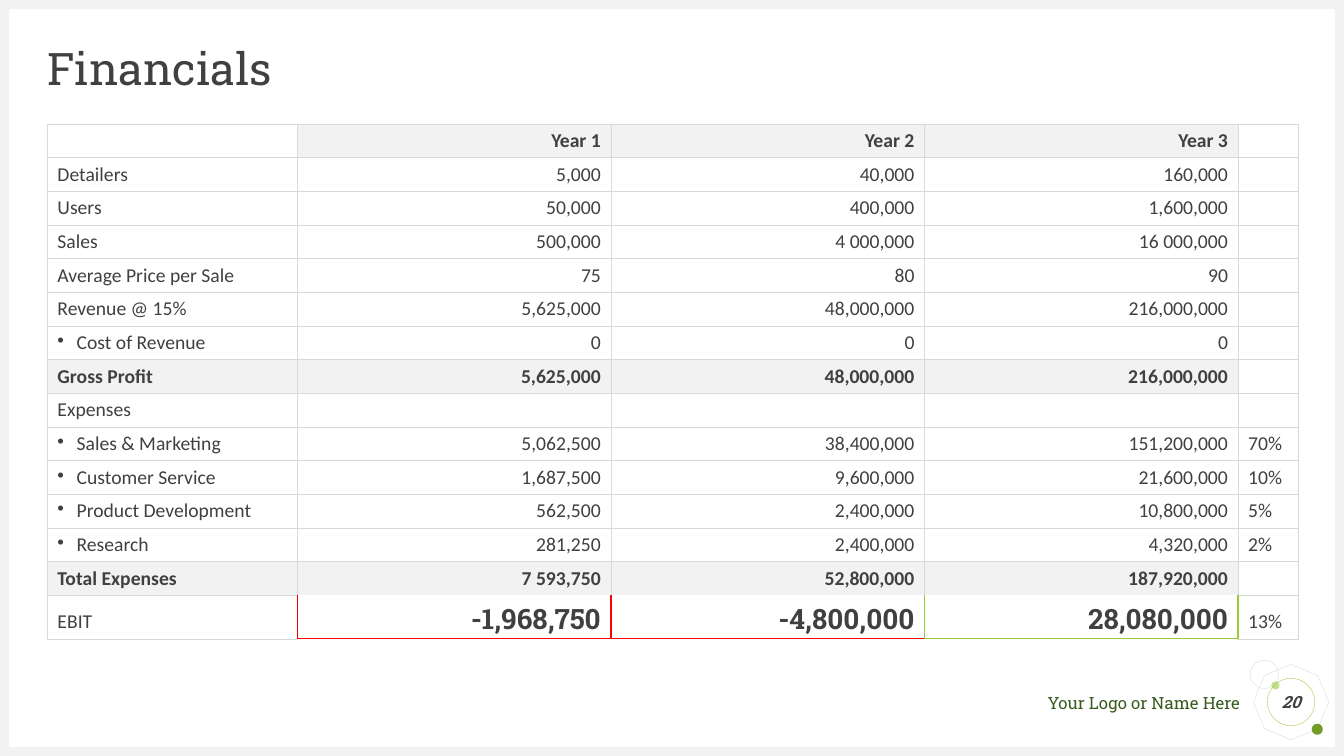
from dataclasses import dataclass

import pptx
import pptx.dml.color
import pptx.enum.shapes
import pptx.enum.text
import pptx.oxml
import pptx.oxml.ns
import pptx.util

Inches = pptx.util.Inches
Pt = pptx.util.Pt
Shape = pptx.enum.shapes.MSO_SHAPE
Align = pptx.enum.text.PP_ALIGN
Anchor = pptx.enum.text.MSO_ANCHOR

WIDTH, HEIGHT = 13.33, 7.5
BAR = 0.09
COLUMN_WIDTHS = [2.48, 3.11, 3.11, 3.11, 0.6]
ROW_HEIGHT, EBIT_HEIGHT = 0.33, 0.42
SHADED = {"Gross Profit", "Total Expenses"}
DETAILS = {"Cost of Revenue", "Sales & Marketing", "Customer Service",
           "Product Development", "Research"}
FINANCIALS = [
    ["", "Year 1", "Year 2", "Year 3", ""],
    ["Detailers", "5,000", "40,000", "160,000", ""],
    ["Users", "50,000", "400,000", "1,600,000", ""],
    ["Sales", "500,000", "4 000,000", "16 000,000", ""],
    ["Average Price per Sale", "75", "80", "90", ""],
    ["Revenue @ 15%", "5,625,000", "48,000,000", "216,000,000", ""],
    ["Cost of Revenue", "0", "0", "0", ""],
    ["Gross Profit", "5,625,000", "48,000,000", "216,000,000", ""],
    ["Expenses", "", "", "", ""],
    ["Sales & Marketing", "5,062,500", "38,400,000", "151,200,000", "70%"],
    ["Customer Service", "1,687,500", "9,600,000", "21,600,000", "10%"],
    ["Product Development", "562,500", "2,400,000", "10,800,000", "5%"],
    ["Research", "281,250", "2,400,000", "4,320,000", "2%"],
    ["Total Expenses", "7 593,750", "52,800,000", "187,920,000", ""],
    ["EBIT", "-1,968,750", "-4,800,000", "28,080,000", "13%"],
]


@dataclass(frozen=True)
class Theme:
    heading: str = "Roboto Slab"
    body: str = "Calibri"
    text: str = "404040"
    brand: str = "375C1E"
    paper: str = "FFFFFF"
    shade: str = "F2F2F2"
    grid: str = "D9D9D9"
    loss: str = "FF0000"
    gain: str = "9ACB39"
    light_dot: str = "C2E088"
    dark_dot: str = "749A29"
    title_size: int = 32
    result_size: int = 20
    cell_size: int = 14
    footer_size: int = 12
    hairline: float = 0.25
    accent_line: float = 1


def rgb(value):
    return pptx.dml.color.RGBColor.from_string(value)


class SlideBuilder:
    def __init__(self, slide, theme):
        self.slide = slide
        self.theme = theme

    def font(self, paragraph, size, face, color=None, bold=False, italic=False):
        font = paragraph.font
        font.size, font.name = Pt(size), face
        font.color.rgb = rgb(color or self.theme.text)
        font.bold, font.italic = bold, italic

    def frame(self, shape, text, align, anchor):
        """Fill a shape's text frame without margins and return its paragraph."""
        frame = shape.text_frame
        frame.text = text
        frame.word_wrap = True
        frame.vertical_anchor = anchor
        frame.margin_left = frame.margin_right = 0
        frame.margin_top = frame.margin_bottom = 0
        frame.paragraphs[0].alignment = align
        return frame.paragraphs[0]

    def title(self, text, left, top, width, height):
        title = self.slide.shapes.title
        title.left, title.top = Inches(left), Inches(top)
        title.width, title.height = Inches(width), Inches(height)
        paragraph = self.frame(title, text, Align.LEFT, Anchor.MIDDLE)
        paragraph.line_spacing = 0.9
        self.font(paragraph, self.theme.title_size, self.theme.heading)

    def shape(self, kind, left, top, width, height, fill=None, line=None):
        shape = self.slide.shapes.add_shape(
            kind, Inches(left), Inches(top), Inches(width), Inches(height))
        shape.shadow.inherit = False
        if fill:
            shape.fill.solid()
            shape.fill.fore_color.rgb = rgb(fill)
        else:
            shape.fill.background()
        if line:
            shape.line.color.rgb = rgb(line)
            shape.line.width = Pt(self.theme.hairline)
        else:
            shape.line.fill.background()
        return shape

    def footer(self, text, left, top, width, height):
        box = self.slide.shapes.add_textbox(
            Inches(left), Inches(top), Inches(width), Inches(height))
        paragraph = self.frame(box, text, Align.RIGHT, Anchor.TOP)
        self.font(paragraph, self.theme.footer_size, self.theme.heading, self.theme.brand)

    def page_badge(self, number, left, top, size):
        badge = self.shape(Shape.OVAL, left, top, size, size, line=self.theme.gain)
        paragraph = self.frame(badge, number, Align.CENTER, Anchor.MIDDLE)
        self.font(paragraph, self.theme.footer_size, self.theme.heading,
                  bold=True, italic=True)

    def bullet(self, paragraph):
        properties = paragraph._p.get_or_add_pPr()
        properties.set("marL", str(Inches(0.19)))
        properties.set("indent", str(-Inches(0.19)))
        properties.append(pptx.oxml.parse_xml(
            f'<a:buChar {pptx.oxml.ns.nsdecls("a")} char="•"/>'))

    def borders(self, cell, sides):
        """Draw the L, R, T and B edges; a colour of None leaves an edge open."""
        properties = cell._tc.get_or_add_tcPr()
        for position, side in enumerate("LRTB"):
            color = sides[side]
            plain = color in (None, self.theme.grid)
            width = Pt(self.theme.hairline if plain else self.theme.accent_line)
            paint = (f'<a:solidFill><a:srgbClr val="{color}"/></a:solidFill>'
                     if color else "<a:noFill/>")
            properties.insert(position, pptx.oxml.parse_xml(
                f'<a:ln{side} {pptx.oxml.ns.nsdecls("a")} w="{width}">{paint}</a:ln{side}>'))

    def cell(self, cell, text, shaded, bold, right, result):
        theme = self.theme
        cell.fill.solid()
        cell.fill.fore_color.rgb = rgb(theme.shade if shaded else theme.paper)
        cell.vertical_anchor = Anchor.BOTTOM
        cell.text = text
        paragraph = cell.text_frame.paragraphs[0]
        paragraph.alignment = Align.RIGHT if right else Align.LEFT
        if text in DETAILS:
            self.bullet(paragraph)
        if result:
            self.font(paragraph, theme.result_size, theme.heading, bold=True)
        else:
            self.font(paragraph, theme.cell_size, theme.body, bold=bold)

    def financial_table(self, rows, left, top):
        theme = self.theme
        last = len(rows) - 1
        heights = [ROW_HEIGHT] * last + [EBIT_HEIGHT]
        table = self.slide.shapes.add_table(
            len(rows), len(COLUMN_WIDTHS), Inches(left), Inches(top),
            Inches(sum(COLUMN_WIDTHS)), Inches(sum(heights))).table
        table.first_row = table.horz_banding = False
        for column, width in zip(table.columns, COLUMN_WIDTHS):
            column.width = Inches(width)
        result_edges = {1: theme.loss, 2: theme.loss, 3: theme.gain, 4: theme.gain}
        for r, values in enumerate(rows):
            table.rows[r].height = Inches(heights[r])
            strong = r == 0 or values[0] in SHADED
            for c, text in enumerate(values):
                year = 1 <= c <= 3
                shaded = strong and (year or (c == 0 and r > 0))
                result = year and r == last
                cell = table.cell(r, c)
                self.cell(cell, text, shaded, strong, year, result)
                sides = dict.fromkeys("LRTB", theme.grid)
                if r == last:
                    sides["L"] = result_edges.get(c, theme.grid)
                    sides["R"] = result_edges.get(c + 1, theme.grid)
                if result:
                    sides["T"], sides["B"] = None, result_edges[c]
                elif year and r == last - 1:
                    sides["B"] = None
                self.borders(cell, sides)


def main():
    deck = pptx.Presentation()
    deck.slide_width, deck.slide_height = Inches(WIDTH), Inches(HEIGHT)
    theme = Theme()
    page = SlideBuilder(deck.slides.add_slide(deck.slide_layouts[5]), theme)

    octagon = page.shape(Shape.OCTAGON, 12.46, 6.62, 0.69, 0.69, line=theme.grid)
    octagon.rotation = 22.7
    page.shape(Shape.OVAL, 12.61, 6.76, 0.08, 0.08, fill=theme.light_dot)
    page.shape(Shape.OVAL, 13.01, 7.18, 0.11, 0.11, fill=theme.dark_dot)
    page.footer("Your Logo or Name Here", 9.55, 6.87, 2.75, 0.2)
    page.shape(Shape.OVAL, 12.4, 6.55, 0.28, 0.28, line=theme.grid)
    for top in (HEIGHT - BAR, 0):
        page.shape(Shape.RECTANGLE, 0, top, WIDTH, BAR, fill=theme.shade)
    for left in (0, WIDTH - BAR):
        page.shape(Shape.RECTANGLE, left, 0, BAR, HEIGHT, fill=theme.shade)

    page.title("Financials", 0.47, 0.47, 12.4, 0.47)
    page.financial_table(FINANCIALS, 0.47, 1.23)
    page.page_badge("20", 12.57, 6.73, 0.47)
    deck.save("out.pptx")


if __name__ == "__main__":
    main()
